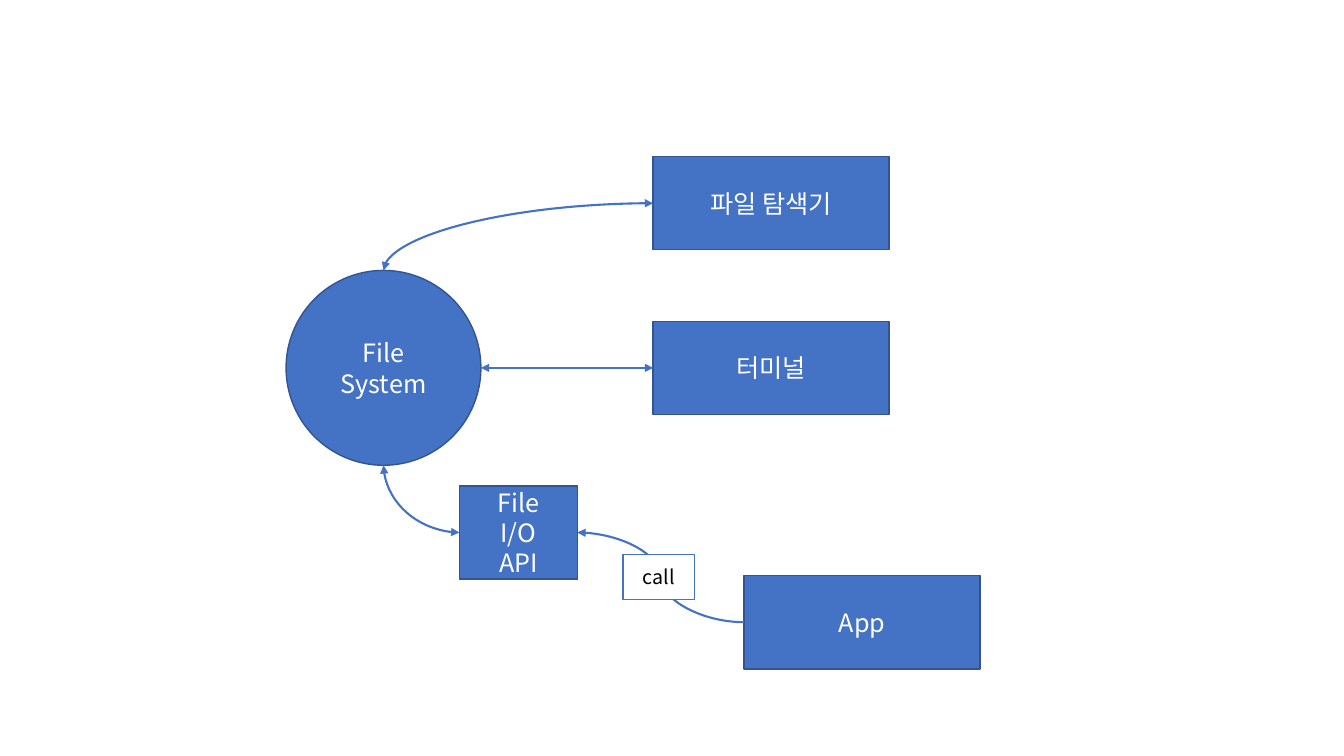
from dataclasses import dataclass
from typing import Any

from lxml.etree import SubElement
from pptx import Presentation
from pptx.dml.color import RGBColor
from pptx.enum.shapes import MSO_CONNECTOR as Link, MSO_SHAPE as Preset
from pptx.enum.text import MSO_ANCHOR as Anchor, PP_ALIGN as Align
from pptx.oxml.ns import qn
from pptx.shapes.autoshape import Shape
from pptx.slide import Slide
from pptx.util import Cm, Pt


@dataclass(frozen=True)
class Theme:
    """Colours, type and line widths of the diagram."""
    accent: RGBColor = RGBColor(0x44, 0x72, 0xC4)
    outline: RGBColor = RGBColor(0x32, 0x54, 0x91)
    white: RGBColor = RGBColor(0xFF, 0xFF, 0xFF)
    black: RGBColor = RGBColor(0, 0, 0)
    font: str = "Noto Sans CJK KR"
    node_size: Pt = Pt(18)
    label_size: Pt = Pt(14)
    border: Pt = Pt(1)
    link: Pt = Pt(1.5)


THEME = Theme()


@dataclass(frozen=True)
class Node:
    """A labelled part of the diagram, placed by left edge and middle, in cm."""
    text: str
    left: float
    middle: float
    width: float = 5.95
    height: float = 2.35
    preset: Preset = Preset.RECTANGLE
    fill: RGBColor = THEME.accent
    border: RGBColor = THEME.outline
    ink: RGBColor = THEME.white
    size: Pt = THEME.node_size

    def site(self, side: str) -> tuple[int, float, float]:
        """Return the connection site index and its x and y for a side."""
        order = ["top", "left", "bottom", "right"]
        step = 2 if self.preset == Preset.OVAL else 1
        dx, dy = {"top": (0.5, -0.5), "left": (0, 0),
                  "bottom": (0.5, 0.5), "right": (1, 0)}[side]
        return (order.index(side) * step,
                self.left + dx * self.width, self.middle + dy * self.height)


@dataclass(frozen=True)
class Route:
    """A curved arrow between the sides of two nodes."""
    start: str
    start_side: str
    end: str
    end_side: str
    both_ways: bool = True


ROW_MIDDLE, ROW_PITCH, TOOLS_LEFT = 9.27, 4.15, 16.46

NODES = {
    "file_system": Node("File\nSystem", 7.21, ROW_MIDDLE, 4.91, 4.91, Preset.OVAL),
    "explorer": Node("파일 탐색기", TOOLS_LEFT, ROW_MIDDLE - ROW_PITCH),
    "terminal": Node("터미널", TOOLS_LEFT, ROW_MIDDLE),
    "app": Node("App", 18.75, 15.68),
    "io_api": Node("File\nI/O\nAPI", 11.58, ROW_MIDDLE + ROW_PITCH, 2.97),
}
CALL = Node("call", 15.7, 14.54, 1.8, 1.13, fill=THEME.white,
            border=THEME.accent, ink=THEME.black, size=THEME.label_size)

ROUTES = [
    Route("explorer", "left", "file_system", "top"),
    Route("file_system", "right", "terminal", "left"),
    Route("app", "left", "io_api", "right", both_ways=False),
    Route("io_api", "left", "file_system", "bottom"),
]


def apply_format(target: Any, values: dict[str, Any]) -> None:
    """Set each named attribute on the target."""
    for name, value in values.items():
        setattr(target, name, value)


def draw_node(slide: Slide, node: Node) -> Shape:
    """Draw one node with its centred text."""
    body = slide.shapes.add_shape(
        node.preset, Cm(node.left), Cm(node.middle - node.height / 2),
        Cm(node.width), Cm(node.height))
    body.shadow.inherit = False
    body.fill.solid()
    body.fill.fore_color.rgb = node.fill
    body.line.color.rgb = node.border
    body.line.width = THEME.border
    frame = body.text_frame
    frame.text = node.text
    apply_format(frame, {"word_wrap": True, "vertical_anchor": Anchor.MIDDLE})
    for paragraph in frame.paragraphs:
        paragraph.alignment = Align.CENTER
        for run in paragraph.runs:
            apply_format(run.font, {"name": THEME.font, "size": node.size})
            run.font.color.rgb = node.ink
            SubElement(run.font._element, qn("a:ea"), typeface=THEME.font)
    return body


def draw_route(slide: Slide, route: Route, drawn: dict[str, Shape]) -> None:
    """Draw one curved arrow, attached to the nodes at both ends."""
    start_site, x1, y1 = NODES[route.start].site(route.start_side)
    end_site, x2, y2 = NODES[route.end].site(route.end_side)
    arrow = slide.shapes.add_connector(Link.CURVE, Cm(x1), Cm(y1), Cm(x2), Cm(y2))
    arrow.line.color.rgb = THEME.accent
    arrow.line.width = THEME.link

    ends = arrow._element.find(f".//{qn('p:cNvCxnSpPr')}")
    for tag, key, site in (("a:stCxn", route.start, start_site),
                           ("a:endCxn", route.end, end_site)):
        SubElement(ends, qn(tag), id=str(drawn[key].shape_id), idx=str(site))

    properties = arrow._element.spPr
    if route.end_side in ("top", "bottom"):
        properties.find(qn("a:prstGeom")).set("prst", "curvedConnector2")
    stroke = properties.find(qn("a:ln"))
    for tag in ["a:headEnd"] * route.both_ways + ["a:tailEnd"]:
        SubElement(stroke, qn(tag), type="triangle")
    SubElement(properties, qn("a:effectLst"))


def main() -> None:
    """Build the slide and save it."""
    deck = Presentation()
    apply_format(deck, {"slide_width": Cm(33.87), "slide_height": Cm(19.05)})
    slide = deck.slides.add_slide(deck.slide_layouts[6])
    drawn = {key: draw_node(slide, node) for key, node in NODES.items()}
    for route in ROUTES:
        draw_route(slide, route, drawn)
    draw_node(slide, CALL)
    deck.save("out.pptx")


main()
